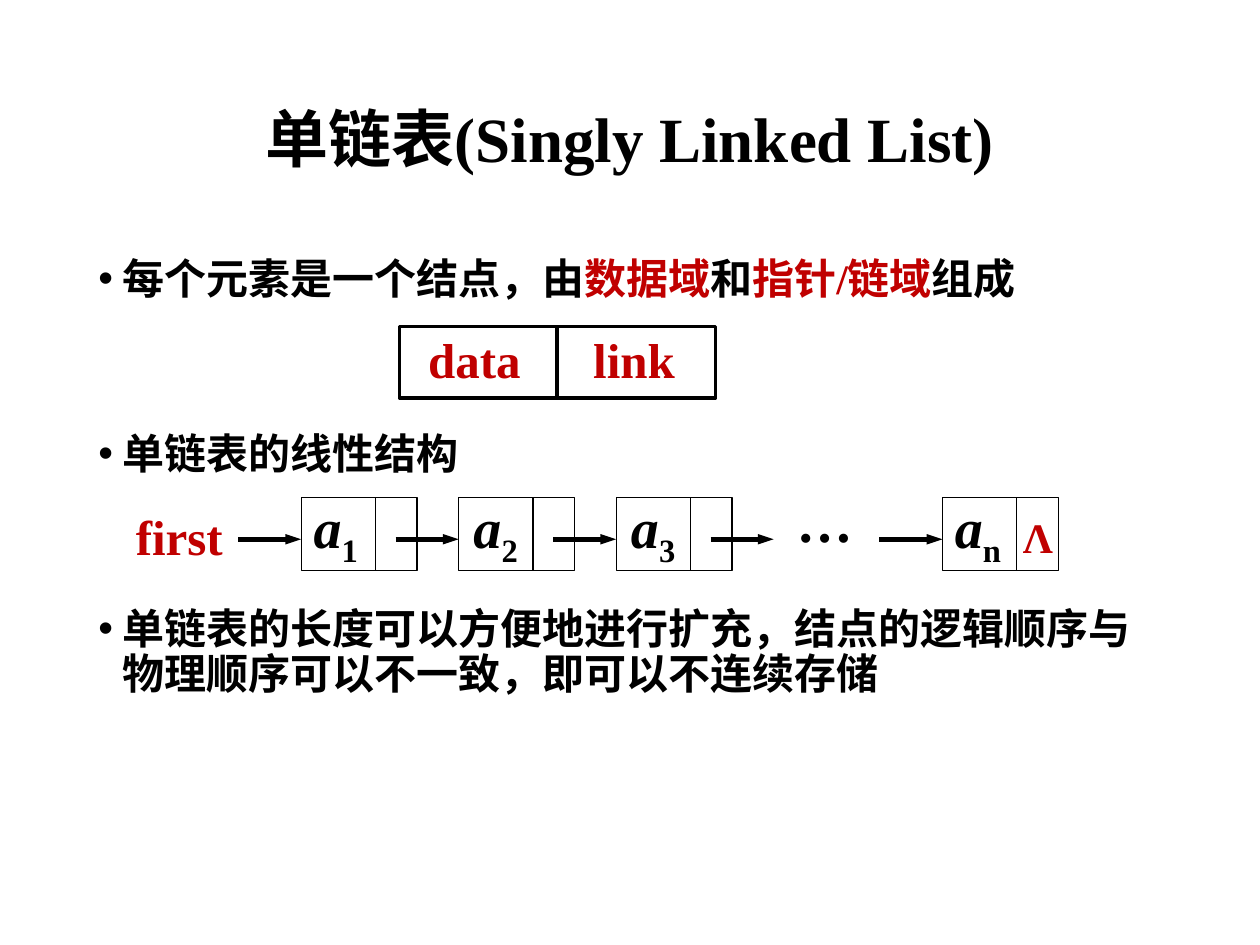
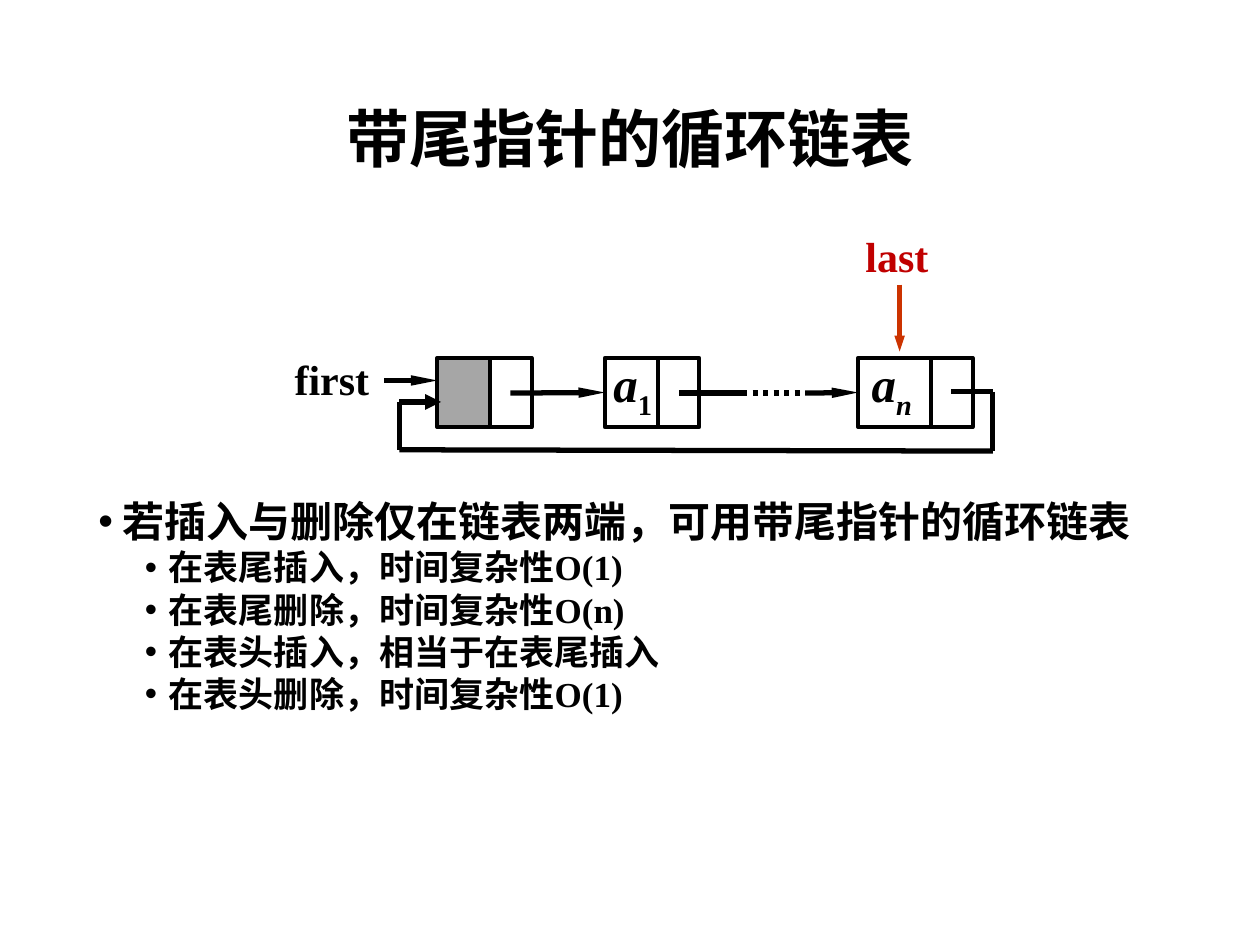
from itertools import pairwise

from pptx import Presentation
from pptx.dml.color import RGBColor
from pptx.enum.dml import MSO_LINE
from pptx.enum.shapes import MSO_CONNECTOR, MSO_SHAPE
from pptx.enum.text import MSO_ANCHOR, PP_ALIGN
from pptx.oxml.ns import qn
from pptx.util import Pt
from lxml.etree import SubElement

EMU_PER_PX = 9144  # 100 px to the inch
COLORS = {
    "black": "000000",
    "white": "FFFFFF",
    "red": "C00000",
    "orange": "CC3300",
    "gray": "A6A6A6",
}
LATIN = "Times New Roman"
CJK = "Noto Sans CJK SC"


def px(*values):
    return [v * EMU_PER_PX for v in values]


def rgb(name):
    return RGBColor.from_string(COLORS[name])


def add_run(p, text, size=24, color="black", ea=LATIN, italic=False, baseline=0):
    r = p.add_run()
    r.text = text
    font = r.font
    font.name, font.size, font.bold, font.italic = LATIN, Pt(size), True, italic
    font.color.rgb = rgb(color)
    rPr = r._r.get_or_add_rPr()
    SubElement(rPr, qn("a:ea")).set("typeface", ea)
    if baseline:
        rPr.set("baseline", str(baseline * 1000))


def new_slide(prs, *title_parts):
    slide = prs.slides.add_slide(prs.slide_layouts[5])
    title = slide.shapes.title
    title.left, title.top, title.width, title.height = px(69, 40, 862, 145)
    tf = title.text_frame
    tf.vertical_anchor = MSO_ANCHOR.MIDDLE
    p = tf.paragraphs[0]
    p.alignment, p.line_spacing = PP_ALIGN.CENTER, 0.9
    for part in title_parts:
        add_run(p, part, size=36, ea=CJK)
    return slide


def add_bullets(slide, y, h, items, line_pt, gap_pt=0):
    """Each item is (level, [(text, color), ...])."""
    tf = slide.shapes.add_textbox(*px(69, y, 862, h)).text_frame
    tf.word_wrap = True
    tf.margin_top = tf.margin_bottom = 0
    tf.margin_left, tf.margin_right = px(9, 10)
    for i, (level, parts) in enumerate(items):
        p = tf.add_paragraph() if i else tf.paragraphs[0]
        p.level = level
        p.line_spacing = Pt(line_pt)
        p.space_before = Pt(gap_pt if i else 0)
        pPr = p._p.get_or_add_pPr()
        margin, hang = px(19 + 37 * level, 19)
        pPr.set("marL", str(margin))
        pPr.set("indent", str(-hang))
        SubElement(pPr, qn("a:buFont")).set("typeface", "Arial")
        SubElement(pPr, qn("a:buChar")).set("char", "•")
        for text, color in parts:
            add_run(p, text, size=24 - 4 * level, color=color, ea=CJK)


def add_label(slide, x, y, w, h, text, sub="", sub_italic=False, **fmt):
    tf = slide.shapes.add_textbox(*px(x, y, w, h)).text_frame
    tf.word_wrap = False
    p = tf.paragraphs[0]
    add_run(p, text, **fmt)
    if sub:
        add_run(p, sub, **{**fmt, "italic": sub_italic, "baseline": -25})


def add_cell(slide, x, y, w, h, weight, fill="white"):
    sp = slide.shapes.add_shape(MSO_SHAPE.RECTANGLE, *px(x, y, w, h))
    sp.shadow.inherit = False
    sp.fill.solid()
    sp.fill.fore_color.rgb = rgb(fill)
    sp.line.color.rgb = rgb("black")
    sp.line.width = Pt(weight)
    return sp


def add_line(slide, start, end, head=None, color="black", weight=3, dash=None,
             target=None):
    """head is (width, length) of the arrowhead; target is joined on its left side."""
    line = slide.shapes.add_connector(MSO_CONNECTOR.STRAIGHT, *px(*start, *end))
    line.line.color.rgb = rgb(color)
    line.line.width = Pt(weight)
    if dash:
        line.line.dash_style = dash
    if head:
        tail = SubElement(line.line._get_or_add_ln(), qn("a:tailEnd"))
        tail.set("type", "triangle")
        tail.set("w", head[0])
        tail.set("len", head[1])
    SubElement(line._element.spPr, qn("a:effectLst"))
    if target is not None:
        line.end_connect(target, 1)


def add_split_node(slide, x, y, w, h, split, weight):
    """Draw one box, divided by a line at split px from its left side."""
    add_cell(slide, x, y, w, h, weight)
    add_line(slide, (x + split, y), (x + split, y + h), weight=weight)


def add_paired_node(slide, x, y, data_w, h, fill="white"):
    """Draw a data cell beside a link cell; return the data cell."""
    add_cell(slide, x + data_w, y, 33, h, 2.25)
    return add_cell(slide, x, y, data_w, h, 2.25, fill)


def singly_linked_list(prs):
    slide = new_slide(prs, "单链表", "(Singly Linked List)")
    add_bullets(slide, 205, 471, [
        (0, [("每个元素是一个结点，由", "black"), ("数据域", "red"), ("和", "black"),
             ("指针/链域", "red"), ("组成", "black")]),
        (0, [("单链表的线性结构", "black")]),
        (0, [("单链表的长度可以方便地进行扩充，结点的逻辑顺序与"
              "物理顺序可以不一致，即可以不连续存储", "black")]),
    ], line_pt=25.7, gap_pt=74.3)

    add_split_node(slide, 317, 259, 251, 57, split=125, weight=2)
    for x, field in ((330, "data"), (461, "link")):
        add_label(slide, x, 257, 95, 57, field, size=28, color="red")

    arrow_y, step = 428, 125
    node_xs = [239 + step * i for i in range(3)] + [748]
    for x, index in zip(node_xs, "123n"):
        add_split_node(slide, x, 395, 92, 58, split=59, weight=0.75)
        add_label(slide, x + (2 if index in "23" else 0), 386, 57, 64, "a",
                  sub=index, size=32, italic=True)
    for x in [189 + step * i for i in range(4)] + [698]:
        add_line(slide, (x, arrow_y), (x + 50, arrow_y), head=("sm", "med"))
    add_label(slide, 98, 397, 90, 57, "first", size=28, color="red")
    add_label(slide, 624, 381, 65, 64, "…", size=32, italic=True)
    add_label(slide, 802, 401, 44, 50, "Λ", color="red")


def circular_list(prs):
    slide = new_slide(prs, "带尾指针的循环链表")
    operations = ["在表尾插入，时间复杂性O(1)", "在表尾删除，时间复杂性O(n)",
                  "在表头插入，相当于在表尾插入", "在表头删除，时间复杂性O(1)"]
    add_bullets(slide, 400, 276, [
        (0, [("若插入与删除仅在链表两端，可用带尾指针的循环链表", "black")]),
        *((1, [(text, "black")]) for text in operations),
    ], line_pt=24)

    node_y, node_h, link_y = 284, 55, 312
    add_paired_node(slide, 347, node_y, 42, node_h, fill="gray")
    first_node = add_paired_node(slide, 480, node_y, 42, node_h)
    last_node = add_paired_node(slide, 681, node_y, 58, node_h)
    add_label(slide, 477, 276, 61, 57, "a", sub="1", size=28, italic=True)
    add_label(slide, 682, 276, 61, 57, "a", sub="n", sub_italic=True,
              size=28, italic=True)

    long_head = ("sm", "lg")
    add_line(slide, (305, 302), (347, 302), head=long_head)
    add_line(slide, (405, link_y), (480, link_y), head=long_head, target=first_node)
    add_line(slide, (539, link_y), (589, link_y))
    add_line(slide, (589, link_y), (639, link_y), dash=MSO_LINE.ROUND_DOT)
    add_line(slide, (639, link_y), (681, link_y), head=long_head, target=last_node)

    loop = [(755, 311), (788, 311), (788, 358), (317, 357), (317, 319), (350, 319)]
    for start, end in pairwise(loop):
        add_line(slide, start, end, head=("med", "med") if end == loop[-1] else None)

    add_label(slide, 224, 276, 80, 50, "first")
    add_label(slide, 677, 178, 71, 50, "last", color="red")
    add_line(slide, (714, 226), (714, 279), head=("sm", "med"), color="orange")


def main():
    prs = Presentation()
    prs.slide_width, prs.slide_height = px(1000, 750)
    singly_linked_list(prs)
    circular_list(prs)
    prs.save("out.pptx")


if __name__ == "__main__":
    main()
